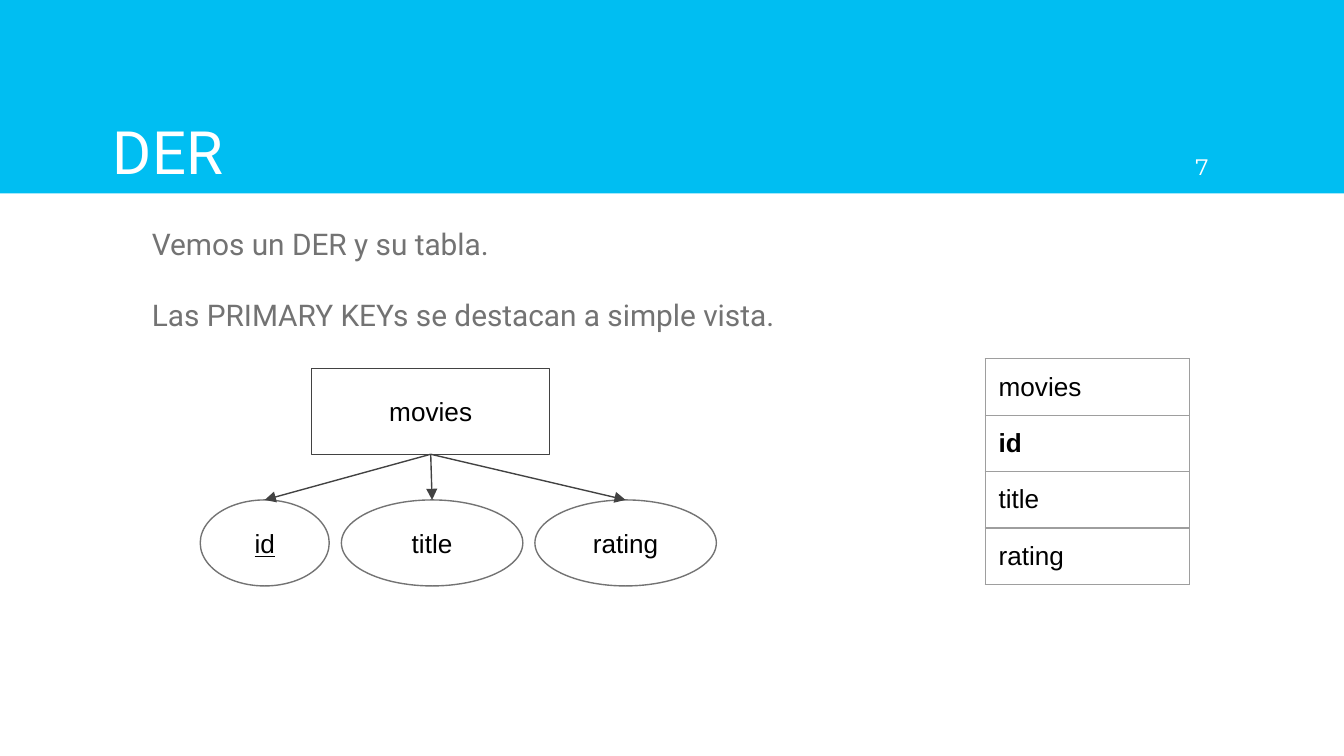
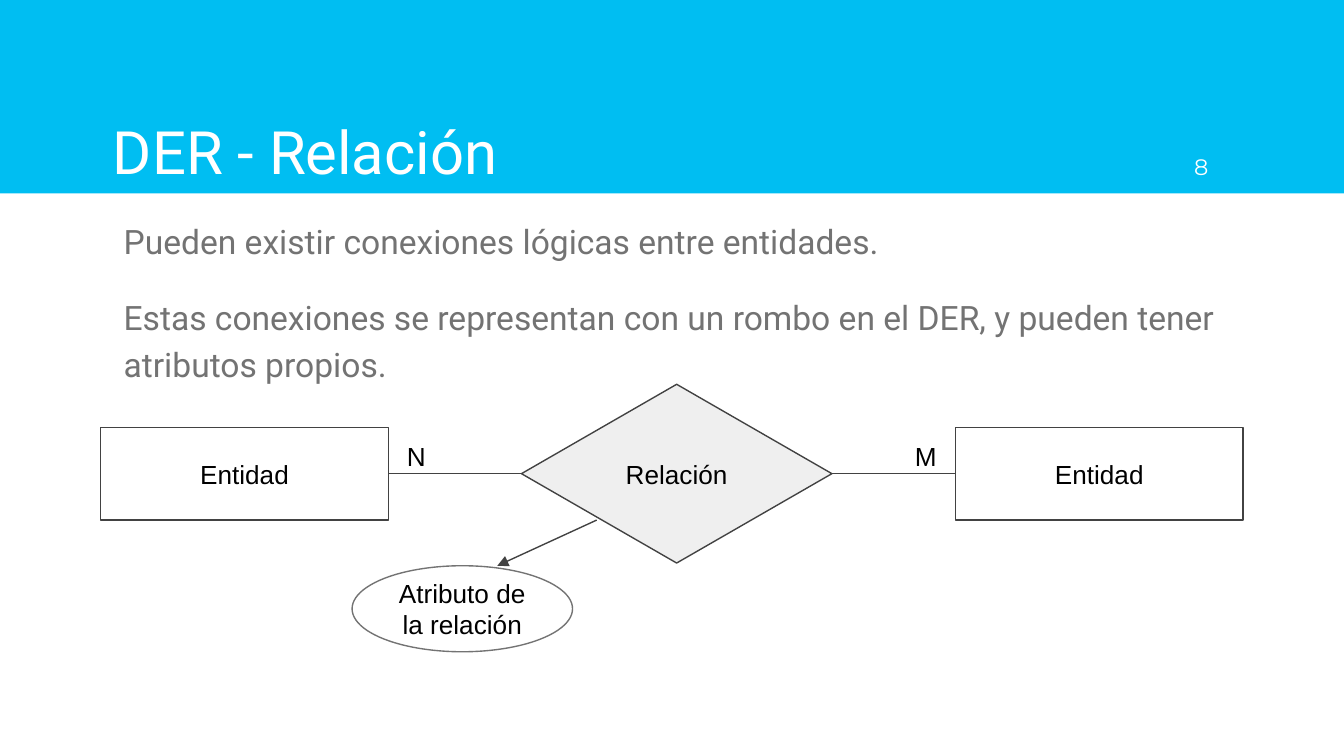
from lxml.etree import SubElement
from pptx import Presentation
from pptx.dml.color import RGBColor
from pptx.enum.shapes import MSO_CONNECTOR, MSO_SHAPE
from pptx.enum.text import MSO_ANCHOR, MSO_AUTO_SIZE, PP_ALIGN
from pptx.oxml.ns import qn
from pptx.util import Inches, Pt

BLUE, WHITE, BLACK = "00BEF2", "FFFFFF", "000000"
GREY, DARK, PALE, BORDER = "737373", "424242", "EFEFEF", "9E9E9E"
INSET = 0.1
LINE_WIDTH = 0.75
TOP, LEFT, BOTTOM, RIGHT = range(4)  # connection sites of a shape
SHAPE_HEIGHT = 0.64


def color(value):
    return RGBColor.from_string(value)


def write(frame, *lines, font="Arial", size=14, ink=BLACK, align=PP_ALIGN.LEFT,
          bold=False, underline=False, spacing=1.0, gap=0):
    """Write one paragraph per line, with gap points between them."""
    for index, text in enumerate(lines):
        para = frame.add_paragraph() if index else frame.paragraphs[0]
        para.alignment = align
        para.line_spacing = spacing
        para.space_before = Pt(gap if index else 0)
        para.space_after = Pt(0)
        span = para.add_run()
        span.text = text
        span.font.name, span.font.size = font, Pt(size)
        span.font.bold, span.font.underline = bold, underline
        span.font.color.rgb = color(ink)


def set_insets(target):
    """Give a text frame or a table cell the same inset on every side."""
    target.margin_left = target.margin_right = Inches(INSET)
    target.margin_top = target.margin_bottom = Inches(INSET)


def prepare_frame(shape, anchor):
    frame = shape.text_frame
    set_insets(frame)
    frame.word_wrap = True
    frame.auto_size = MSO_AUTO_SIZE.NONE
    frame.vertical_anchor = anchor
    return frame


def place(shape, *box):
    shape.left, shape.top, shape.width, shape.height = map(Inches, box)


def add_label(page, box, text, anchor=MSO_ANCHOR.TOP, **style):
    label = page.shapes.add_textbox(*map(Inches, box))
    write(prepare_frame(label, anchor), text, **style)


def add_node(page, kind, box, text, fill=WHITE, line=DARK, **style):
    """Add an outlined shape with centred text."""
    node = page.shapes.add_shape(kind, *map(Inches, box))
    node.shadow.inherit = False
    node.fill.solid()
    node.fill.fore_color.rgb = color(fill)
    node.line.color.rgb = color(line)
    node.line.width = Pt(LINE_WIDTH)
    write(prepare_frame(node, MSO_ANCHOR.MIDDLE), text, align=PP_ALIGN.CENTER, **style)
    return node


def add_line(page, start=(0, 0), end=(0, 0), arrow=False):
    line = page.shapes.add_connector(MSO_CONNECTOR.STRAIGHT, *map(Inches, start + end))
    line.line.color.rgb = color(DARK)
    line.line.width = Pt(LINE_WIDTH)
    properties = line.element.spPr
    if arrow:
        SubElement(properties.find(qn("a:ln")), qn("a:tailEnd"), type="triangle")
    SubElement(properties, qn("a:effectLst"))
    return line


def join(page, first, first_site, second, second_site, arrow=False):
    line = add_line(page, arrow=arrow)
    line.begin_connect(first, first_site)
    line.end_connect(second, second_site)


def add_band(deck, layout, page):
    """Draw the title band and move it to the layout, behind all slides."""
    band = page.shapes.add_shape(MSO_SHAPE.RECTANGLE, 0, 0, deck.slide_width, Inches(1.44))
    band.shadow.inherit = False
    band.fill.solid()
    band.fill.fore_color.rgb = color(BLUE)
    band.line.fill.background()
    layout.shapes.element.insert(2, band.element)


def add_heading(page, title, number):
    place(page.shapes.title, 0.74, 0.65, 8.99, 0.84)
    frame = prepare_frame(page.shapes.title, MSO_ANCHOR.BOTTOM)
    write(frame, title, font="Roboto", size=32, ink=WHITE)
    add_label(page, (8.49, 0.71, 0.6, 0.73), str(number), MSO_ANCHOR.BOTTOM,
              font="Montserrat", size=12, ink=WHITE, align=PP_ALIGN.RIGHT)


def add_body(page, box, size, *lines):
    body = page.placeholders[1]
    place(body, *box)
    frame = prepare_frame(body, MSO_ANCHOR.TOP)
    write(frame, *lines, font="Roboto", size=size, ink=GREY, spacing=1.15, gap=16)
    for para in frame.paragraphs:
        properties = para._p.get_or_add_pPr()
        properties.set("marL", "0")
        properties.set("indent", "0")
        SubElement(properties, qn("a:buNone"))


def add_entity_tree(page, left, top):
    """Draw the entity above a row of its attributes."""
    entity = add_node(page, MSO_SHAPE.RECTANGLE,
                      (left + 0.83, top, 1.77, SHAPE_HEIGHT), "movies")
    attribute_left = left
    for name, width in (("id", 0.96), ("title", 1.35), ("rating", 1.35)):
        box = (attribute_left, top + 0.98, width, SHAPE_HEIGHT)
        attribute = add_node(page, MSO_SHAPE.OVAL, box, name, line=GREY,
                             underline=name == "id")
        join(page, entity, BOTTOM, attribute, TOP, arrow=True)
        attribute_left += width + 0.09


def add_cell_borders(cell):
    properties = cell._tc.get_or_add_tcPr()
    for side in ("a:lnL", "a:lnR", "a:lnT", "a:lnB"):
        border = SubElement(properties, qn(side), w=str(Pt(LINE_WIDTH)))
        fill = SubElement(border, qn("a:solidFill"))
        SubElement(fill, qn("a:srgbClr"), val=BORDER)


def add_movies_table(page, left, top, width, row_height):
    names = ("movies", "id", "title", "rating")
    box = (left, top, width, row_height * len(names))
    table = page.shapes.add_table(len(names), 1, *map(Inches, box)).table
    table.first_row = table.horz_banding = False
    for row, name in enumerate(names):
        cell = table.cell(row, 0)
        set_insets(cell)
        add_cell_borders(cell)
        cell.fill.background()
        write(cell.text_frame, name, bold=name == "id")


def add_relation_diagram(page, left, top):
    """Draw two entities joined by a diamond that has its own attribute."""
    first, second = (
        add_node(page, MSO_SHAPE.RECTANGLE, (left + offset, top + 0.32, 2.14, 0.69), "Entidad")
        for offset in (0, 6.36))
    relation = add_node(page, MSO_SHAPE.DIAMOND, (left + 3.13, top, 2.31, 1.33),
                        "Relación", fill=PALE)
    join(page, first, RIGHT, relation, LEFT)
    join(page, relation, RIGHT, second, LEFT)
    for offset, cardinality in ((2.18, "N"), (5.96, "M")):
        add_label(page, (left + offset, top + 0.32, 0.33, 0.4), cardinality)
    add_node(page, MSO_SHAPE.OVAL, (left + 1.87, top + 1.35, 1.64, SHAPE_HEIGHT),
             "Atributo de la relación", line=GREY)
    add_line(page, (left + 3.69, top + 1.01), (left + 2.95, top + 1.35), arrow=True)


def build_table_slide(page):
    add_heading(page, "DER", 7)
    add_body(page, (1.03, 1.54, 7.88, 0.91), 16,
             "Vemos un DER y su tabla.",
             "Las PRIMARY KEYs se destacan a simple vista.")
    add_entity_tree(page, 1.49, 2.74)
    add_movies_table(page, 7.33, 2.67, 1.52, 0.42)


def build_relation_slide(page):
    add_heading(page, "DER - Relación", 8)
    add_body(page, (0.82, 1.5, 8.99, 1.45), 18,
             "Pueden existir conexiones lógicas entre entidades.",
             "Estas conexiones se representan con un rombo en el DER, "
             "y pueden tener atributos propios.")
    add_relation_diagram(page, 0.75, 2.86)


def main():
    deck = Presentation()
    deck.slide_width = Inches(10)
    deck.slide_height = deck.slide_width * 9 // 16
    layout = deck.slide_layouts[1]
    table_page, relation_page = (deck.slides.add_slide(layout) for _ in range(2))
    add_band(deck, layout, table_page)
    build_table_slide(table_page)
    build_relation_slide(relation_page)
    deck.save("out.pptx")


if __name__ == "__main__":
    main()
